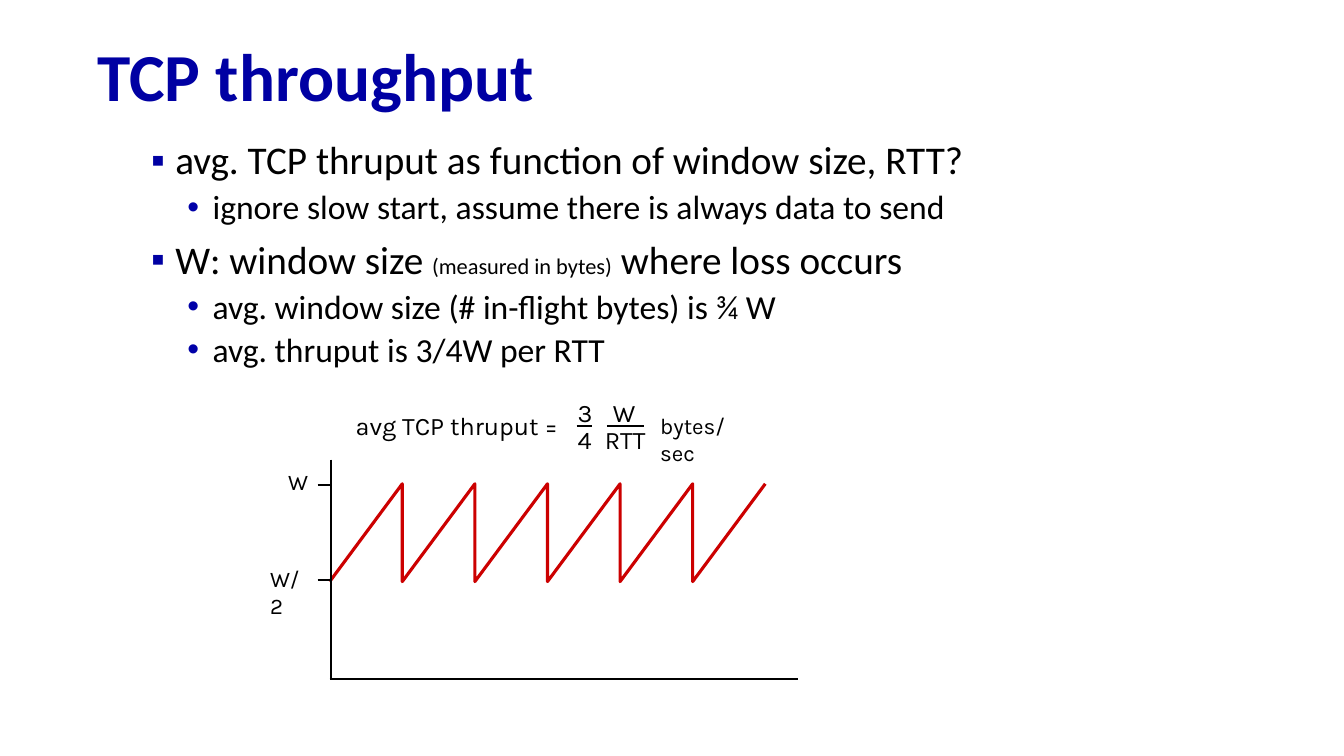
"""Build the TCP throughput slide with its formula and sawtooth diagram."""
from lxml import etree
from pptx import Presentation
from pptx import util as u
from pptx.dml.color import RGBColor
from pptx.enum import text
from pptx.oxml import ns

COLORS = {"title": "0000A3", "square": "0000A3", "dot": "0000A8",
          "ink": "000000", "saw": "CC0000"}
LEVELS = [
    {"char": "▪", "color": "square", "left": 0.39, "indent": -0.24, "before": 10, "size": 28},
    {"char": "•", "color": "dot", "left": 0.76, "indent": -0.25, "before": 5, "size": 24},
]
BULLETS = [
    (0, [("avg. TCP thruput as function of window size, RTT?", 28)]),
    (1, [("ignore slow start, assume there is always data to send", 24)]),
    (0, [("W: window size ", 28), ("(measured in bytes)", 16), (" where loss occurs", 28)]),
    (1, [("avg. window size (# in-flight bytes) is ¾ W", 24)]),
    (1, [("avg. thruput is 3/4W per RTT", 24)]),
]


def rgb(name):
    """Return the named palette colour."""
    return RGBColor.from_string(COLORS[name])


def add_sub(parent, tag, **attrs):
    """Append a DrawingML element with attributes."""
    return etree.SubElement(parent, ns.qn(tag), attrs)


def style_run(r, size, font, color="ink", bold=False):
    """Set the font of a run."""
    r.font.size = u.Pt(size)
    r.font.name = font
    r.font.bold = bold
    r.font.color.rgb = rgb(color)


def add_box(s, x, y, w, h, wrap=True):
    """Add a text box and return its text frame."""
    tf = s.shapes.add_textbox(*map(u.Inches, (x, y, w, h))).text_frame
    tf.word_wrap = wrap
    return tf


def add_label(s, words, x, y, w, h, size, wrap=False):
    """Add a one-paragraph diagram label."""
    tf = add_box(s, x, y, w, h, wrap)
    tf.text = words
    style_run(tf.paragraphs[0].runs[0], size, "Karla")


def add_line(s, x1, y1, x2, y2):
    """Add a black straight line."""
    line = s.shapes.add_connector(1, *map(u.Inches, (x1, y1, x2, y2)))
    line.line.color.rgb = rgb("ink")
    line.line.width = u.Pt(1.5)
    add_sub(line._element.spPr, "a:effectLst")


def add_title(s, x, y, w, h):
    """Add the slide title."""
    tf = add_box(s, x, y, w, h)
    tf.vertical_anchor = text.MSO_ANCHOR.MIDDLE
    tf.text = "TCP throughput"
    p = tf.paragraphs[0]
    p.line_spacing = 0.9
    style_run(p.runs[0], 48, "Calibri", "title", True)


def add_bullets(s, x, y, w, h):
    """Add the two-level bullet list."""
    tf = add_box(s, x, y, w, h)
    for i, (depth, parts) in enumerate(BULLETS):
        level = LEVELS[depth]
        p = tf.paragraphs[0] if i == 0 else tf.add_paragraph()
        p.level = depth
        p.line_spacing = 0.9
        p.space_before = u.Pt(level["before"])
        pPr = p._p.get_or_add_pPr()
        pPr.set("marL", str(u.Inches(level["left"])))
        pPr.set("indent", str(u.Inches(level["indent"])))
        add_sub(add_sub(pPr, "a:buClr"), "a:srgbClr", val=COLORS[level["color"]])
        add_sub(pPr, "a:buFont", typeface="Arial")
        add_sub(pPr, "a:buChar", char=level["char"])
        for words, size in parts:
            r = p.add_run()
            r.text = words
            style_run(r, size, "Calibri")


def add_formula(s, x, y):
    """Add the throughput formula with its two fractions."""
    add_label(s, "avg TCP thruput =", x, y + 0.13, 2.34, 0.4, 18)
    fractions = [(("3", 2.2, 0.34), ("4", 2.2, 0.34), (2.29, 2.44)),
                 (("W", 2.55, 0.43), ("RTT", 2.47, 0.65), (2.59, 2.96))]
    for top, bottom, (left, right) in fractions:
        for (words, dx, w), dy in ((top, 0), (bottom, 0.27)):
            add_label(s, words, x + dx, y + dy, w, 0.4, 18)
        add_line(s, x + left, y + 0.34, x + right, y + 0.34)
    add_label(s, "bytes/sec", x + 3.02, y + 0.15, 1.13, 0.37, 16, True)


def add_sawtooth(s, x, y, w, h, teeth=6):
    """Add the axes, ticks and sawtooth of the window size."""
    high, low, step = y + 0.24, y + 1.21, 0.72
    points = [(x, low)]
    for i in range(1, teeth + 1):
        points += [(x + i * step, high), (x + i * step, low)]
    points = [(u.Inches(px), u.Inches(py)) for px, py in points[:-1]]
    fb = s.shapes.build_freeform(*points[0])
    fb.add_line_segments(points[1:], close=False)
    sp = fb.convert_to_shape()
    sp.shadow.inherit = False
    sp.fill.background()
    sp.line.color.rgb = rgb("saw")
    sp.line.width = u.Pt(2.25)
    add_line(s, x, y + h, x + w, y + h)
    add_line(s, x + 0.01, y, x + 0.01, y + h)
    for dy in (0.25, 1.19):
        add_line(s, x - 0.12, y + dy, x, y + dy)
    add_label(s, "W", x - 0.51, y + 0.04, 0.4, 0.37, 16)
    add_label(s, "W/2", x - 0.69, y + 1, 0.61, 0.37, 16, True)


def main():
    """Build and save the slide."""
    prs = Presentation()
    prs.slide_width, prs.slide_height = u.Inches(13.33), u.Inches(7.5)
    s = prs.slides.add_slide(prs.slide_layouts[6])
    add_title(s, 0.87, 0.3, 12.46, 0.98)
    add_bullets(s, 1.25, 1.35, 11.68, 5.08)
    add_sawtooth(s, 3.27, 4.56, 4.64, 2.18)
    add_formula(s, 3.43, 3.89)
    prs.save("out.pptx")


if __name__ == "__main__":
    main()
